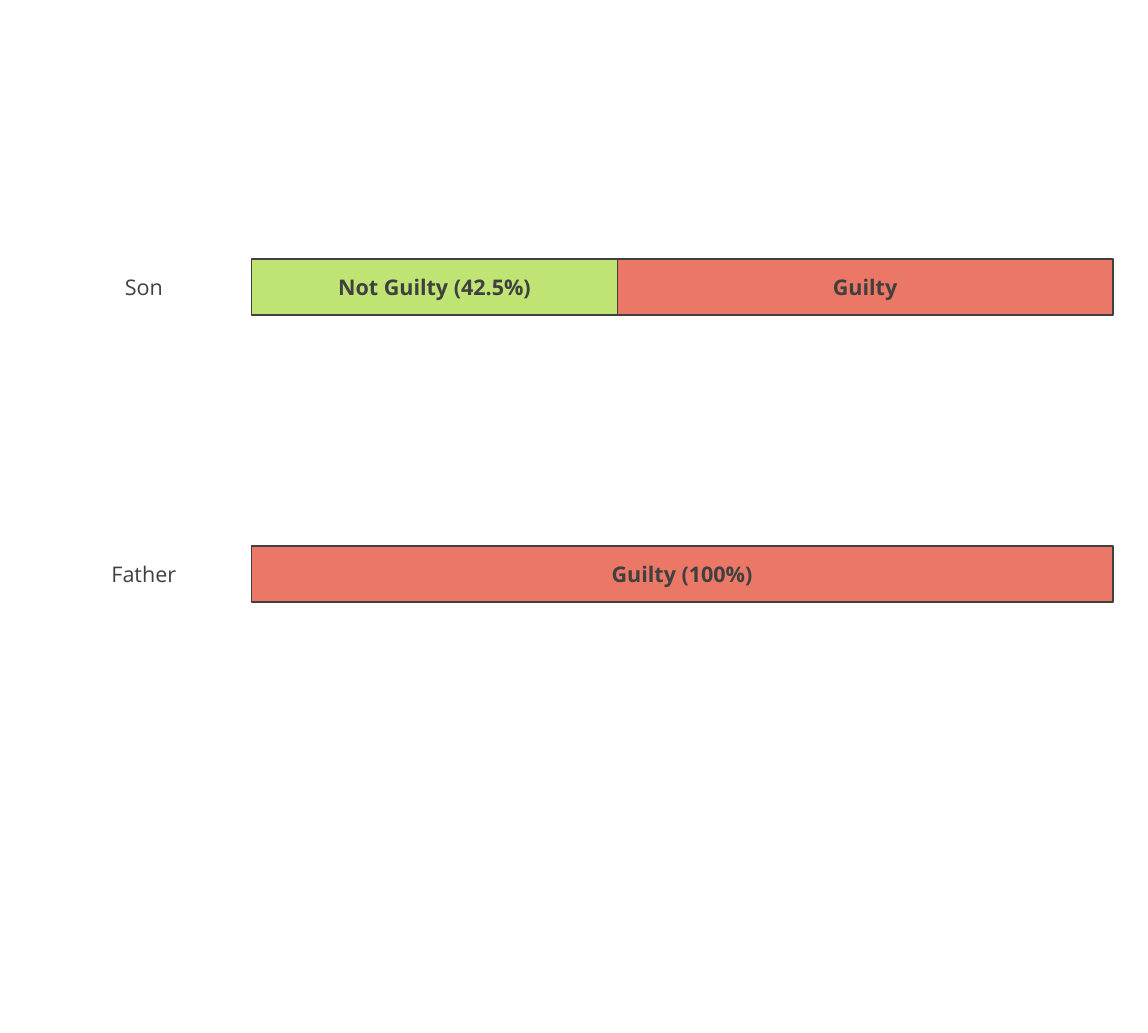
from dataclasses import dataclass

from pptx import Presentation
from pptx.dml.color import RGBColor
from pptx.enum.shapes import MSO_SHAPE
from pptx.enum.text import MSO_ANCHOR, MSO_AUTO_SIZE, PP_ALIGN
from pptx.util import Inches, Pt


@dataclass(frozen=True)
class Theme:
    font: str = "Open Sans"
    size: float = 18
    outline: float = 1.5
    ink: str = "404040"
    not_guilty: str = "C0E474"
    guilty: str = "EB7766"


# Layout in inches: labels on the left, bars on the right
PAGE_WIDTH, PAGE_HEIGHT = 13.33, 12
LABEL_LEFT, LABEL_WIDTH, LABEL_HEIGHT = 0.37, 2.6, 0.4
BAR_LEFT, BAR_WIDTH, BAR_HEIGHT = 2.92, 10, 0.65
FIRST_ROW, ROW_STEP = 3.01, 3.33


class VerdictPage:
    def __init__(self, page, theme):
        self.page = page
        self.theme = theme

    def set_text(self, shape, text, bold=False):
        frame = shape.text_frame
        frame.text = text
        frame.word_wrap = True
        frame.vertical_anchor = MSO_ANCHOR.MIDDLE
        para = frame.paragraphs[0]
        para.alignment = PP_ALIGN.CENTER
        font = para.runs[0].font
        font.name = self.theme.font
        font.size = Pt(self.theme.size)
        font.bold = bold
        font.color.rgb = RGBColor.from_string(self.theme.ink)

    def label(self, row, text):
        top = FIRST_ROW + row * ROW_STEP + (BAR_HEIGHT - LABEL_HEIGHT) / 2
        box = self.page.shapes.add_textbox(
            Inches(LABEL_LEFT), Inches(top), Inches(LABEL_WIDTH), Inches(LABEL_HEIGHT))
        self.set_text(box, text)
        box.text_frame.auto_size = MSO_AUTO_SIZE.SHAPE_TO_FIT_TEXT

    def segment(self, row, start, share, text, color):
        """Draw part of a bar; start and share are fractions of its width."""
        bar = self.page.shapes.add_shape(
            MSO_SHAPE.RECTANGLE,
            Inches(BAR_LEFT + start * BAR_WIDTH), Inches(FIRST_ROW + row * ROW_STEP),
            Inches(share * BAR_WIDTH), Inches(BAR_HEIGHT))
        bar.shadow.inherit = False
        bar.fill.solid()
        bar.fill.fore_color.rgb = RGBColor.from_string(color)
        bar.line.color.rgb = RGBColor.from_string(self.theme.ink)
        bar.line.width = Pt(self.theme.outline)
        self.set_text(bar, text, bold=True)


def main():
    deck = Presentation()
    deck.slide_width, deck.slide_height = Inches(PAGE_WIDTH), Inches(PAGE_HEIGHT)
    theme = Theme()
    verdicts = VerdictPage(deck.slides.add_slide(deck.slide_layouts[6]), theme)

    # Each person with the shares of their bar
    people = [
        ("Son", [("Not Guilty (42.5%)", 0.425, theme.not_guilty),
                 ("Guilty", 0.575, theme.guilty)]),
        ("Father", [("Guilty (100%)", 1, theme.guilty)]),
    ]
    for row, (person, outcomes) in enumerate(people):
        verdicts.label(row, person)
        start = 0
        for text, share, color in outcomes:
            verdicts.segment(row, start, share, text, color)
            start += share

    deck.save("out.pptx")


if __name__ == "__main__":
    main()
